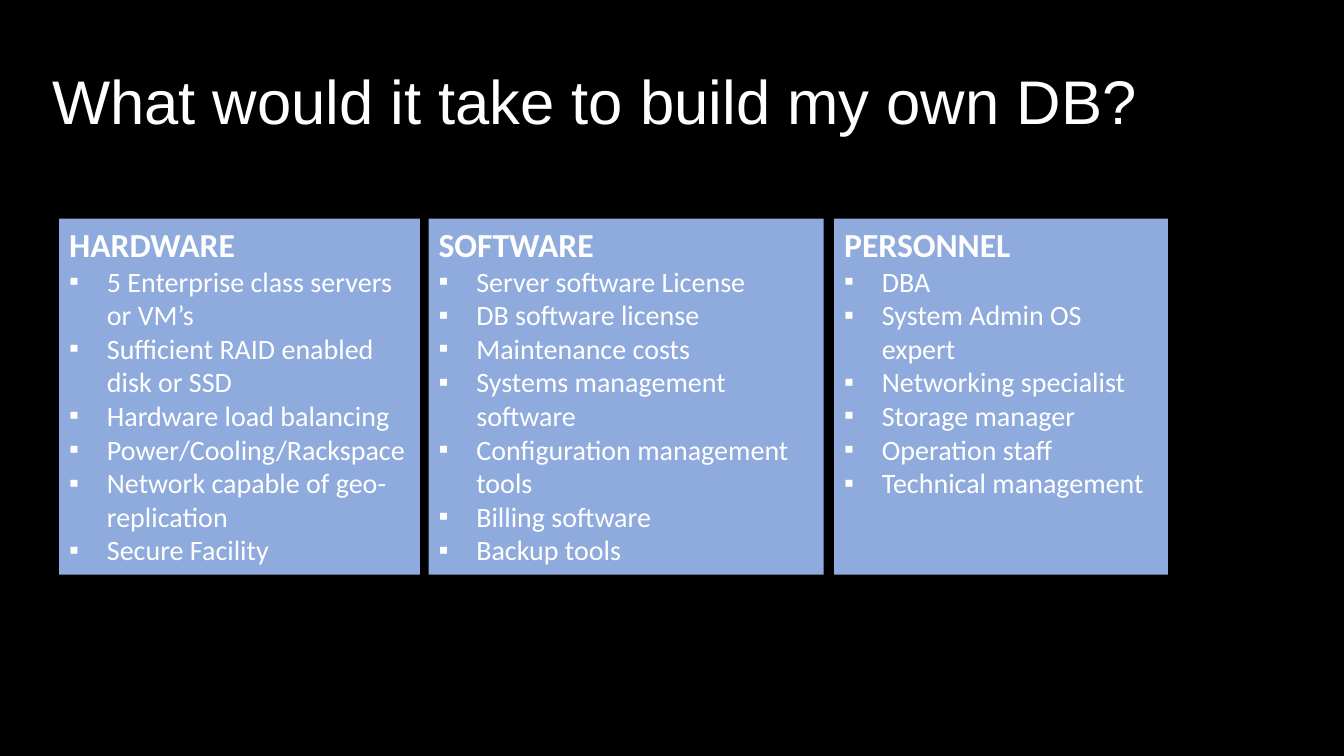
"""Build a slide listing what running your own database requires."""
from dataclasses import dataclass

import lxml.etree
import pptx
import pptx.dml.color
import pptx.enum.text
import pptx.oxml.ns
import pptx.util

Cm = pptx.util.Cm
BLACK = pptx.dml.color.RGBColor(0x00, 0x00, 0x00)
WHITE = pptx.dml.color.RGBColor(0xFF, 0xFF, 0xFF)
BLUE = pptx.dml.color.RGBColor(0x8F, 0xAA, 0xDC)
TOP = 5.51
HEIGHT = 8.97
INDENT = Cm(0.95)


@dataclass(frozen=True)
class Panel:
    head: str
    left: float
    width: float
    items: tuple[str, ...]


PANELS = (
    Panel("HARDWARE", 1.49, 9.09, (
        "5 Enterprise class servers or VM’s",
        "Sufficient RAID enabled disk or SSD",
        "Hardware load balancing",
        "Power/Cooling/Rackspace",
        "Network capable of geo-replication",
        "Secure Facility",
    )),
    Panel("SOFTWARE", 10.8, 9.96, (
        "Server software License",
        "DB software license",
        "Maintenance costs",
        "Systems management software",
        "Configuration management tools",
        "Billing software",
        "Backup tools",
    )),
    Panel("PERSONNEL", 21.02, 8.41, (
        "DBA",
        "System Admin OS expert",
        "Networking specialist",
        "Storage manager",
        "Operation staff",
        "Technical management",
    )),
)


def write(para, text: str, *, size: int, font: str = "Calibri",
          bold: bool = False, bullet: str = "") -> None:
    props = para._p.get_or_add_pPr()
    indent = INDENT if bullet else 0
    props.set("marL", str(indent))
    props.set("indent", str(-indent))
    qn = pptx.oxml.ns.qn
    if bullet:
        lxml.etree.SubElement(props, qn("a:buFont"), typeface="Arial")
        lxml.etree.SubElement(props, qn("a:buChar"), char=bullet)
    else:
        lxml.etree.SubElement(props, qn("a:buNone"))
    para.alignment = pptx.enum.text.PP_ALIGN.LEFT
    para.space_before = pptx.util.Pt(0)
    para.line_spacing = 1.0
    run = para.add_run()
    run.text = text
    run.font.name = font
    run.font.size = pptx.util.Pt(size)
    run.font.bold = bold
    run.font.color.rgb = WHITE


def place(shape, left: float, top: float, width: float, height: float):
    shape.left, shape.top = Cm(left), Cm(top)
    shape.width, shape.height = Cm(width), Cm(height)
    frame = shape.text_frame
    frame.word_wrap = True
    frame.auto_size = pptx.enum.text.MSO_AUTO_SIZE.NONE
    frame.vertical_anchor = pptx.enum.text.MSO_ANCHOR.TOP
    return frame


def draw(shape, panel: Panel) -> None:
    frame = place(shape, panel.left, TOP, panel.width, HEIGHT)
    shape.fill.solid()
    shape.fill.fore_color.rgb = BLUE
    write(frame.paragraphs[0], panel.head, size=24, bold=True)
    for item in panel.items:
        write(frame.add_paragraph(), item, size=20, bullet="▪")


def main() -> None:
    deck = pptx.Presentation()
    deck.slide_width, deck.slide_height = Cm(33.87), Cm(19.05)
    slide = deck.slides.add_slide(deck.slide_layouts.get_by_name("Comparison"))
    slide.background.fill.solid()
    slide.background.fill.fore_color.rgb = BLACK
    title, *bodies, spare = slide.placeholders
    frame = place(title, 1.06, 1.47, 30.48, 2.14)
    write(frame.paragraphs[0], "What would it take to build my own DB?",
          size=44, font="Arial")
    for body, panel in zip(bodies, PANELS):
        draw(body, panel)
    spare.element.getparent().remove(spare.element)
    deck.save("out.pptx")


if __name__ == "__main__":
    main()
